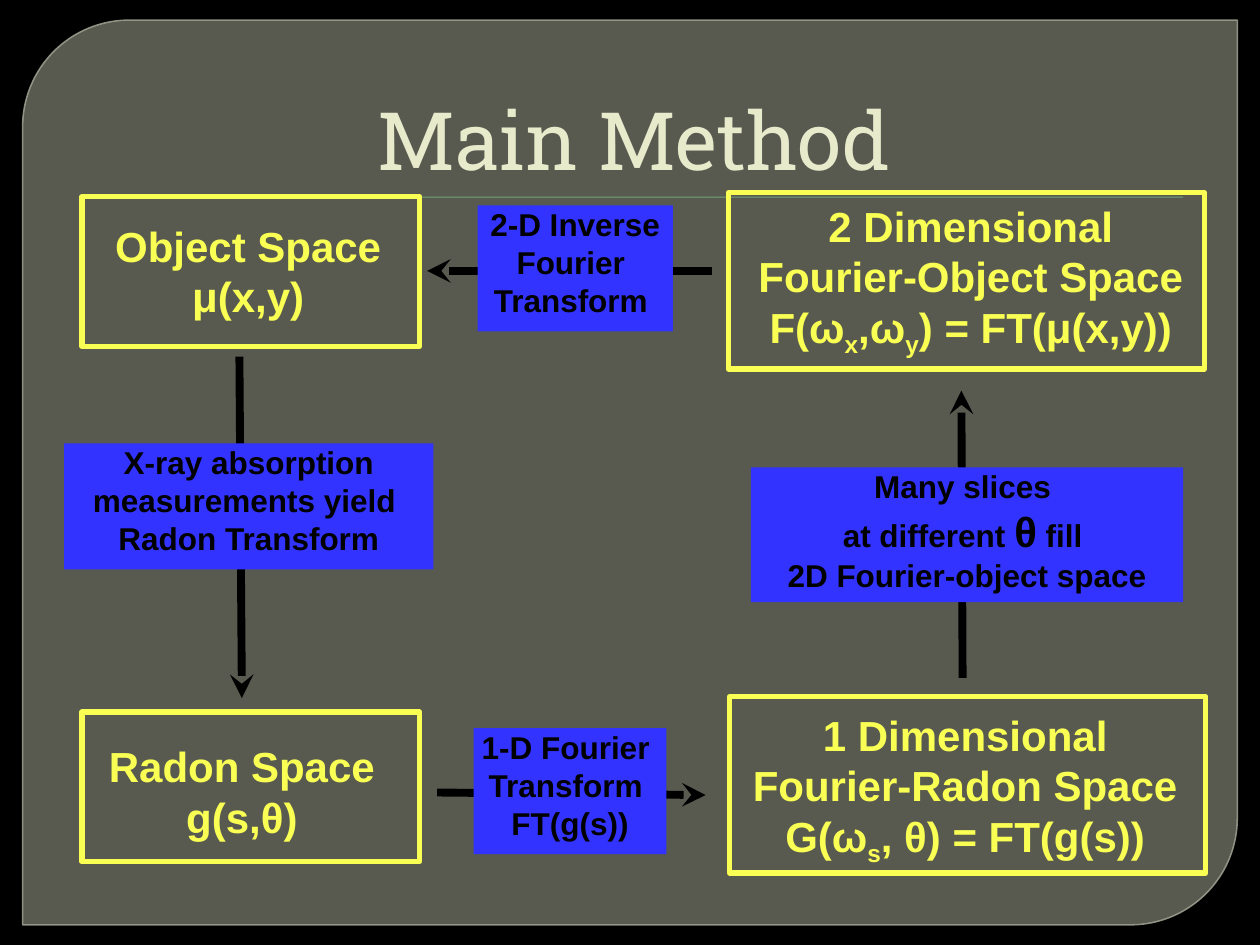
from lxml import etree
from pptx import Presentation
from pptx.dml.color import RGBColor
from pptx.enum.shapes import MSO_CONNECTOR, MSO_SHAPE
from pptx.enum.text import MSO_ANCHOR, PP_ALIGN
from pptx.oxml.ns import qn
from pptx.util import Inches, Pt

BLACK = RGBColor(0x00, 0x00, 0x00)
PANEL = RGBColor(0x88, 0x8B, 0x7B)
PANEL_EDGE = RGBColor(0x9D, 0xA0, 0x90)
GREEN = RGBColor(0x72, 0xA3, 0x76)
CREAM = RGBColor(0xE7, 0xEA, 0xCB)
YELLOW = RGBColor(0xFA, 0xFF, 0x54)
BLUE = RGBColor(0x33, 0x33, 0xFF)
RECTANGLE = MSO_SHAPE.RECTANGLE
ROUNDED_DIAGONAL = MSO_SHAPE.ROUND_2_DIAG_RECTANGLE
STRAIGHT = MSO_CONNECTOR.STRAIGHT
CENTER = PP_ALIGN.CENTER
TOP, BOTTOM = MSO_ANCHOR.TOP, MSO_ANCHOR.BOTTOM

SPACE_FONT = {"name": "Arial", "size": Pt(24), "bold": True}
STEP_FONT = {"name": "Arial", "size": Pt(18), "bold": True}
TITLE_FONT = {"name": "Roboto Slab", "size": Pt(46), "bold": False}
SUBSCRIPT = {"baseline": "-25000"}
LARGE = {"sz": "2400"}

presentation = Presentation()
presentation.slide_width, presentation.slide_height = Inches(10), Inches(7.5)
slide = presentation.slides.add_slide(presentation.slide_layouts[6])
slide.background.fill.solid()
slide.background.fill.fore_color.rgb = BLACK


def add_box(kind, place, fill=None, line=None, width=0):
    shape = slide.shapes.add_shape(kind, *map(Inches, place))
    shape.shadow.inherit = False
    if fill is None:
        shape.fill.background()
    else:
        shape.fill.solid()
        shape.fill.fore_color.rgb = fill
    if line is None:
        shape.line.fill.background()
    else:
        shape.line.color.rgb = line
        shape.line.width = Pt(width)
    return shape


def write(shape, lines, font, color, anchor=TOP, margin=0):
    """Fill a shape with centred lines; a line is a string or (text, run attributes) pairs."""
    frame = shape.text_frame
    frame.word_wrap = True
    frame.vertical_anchor = anchor
    for side in ("left", "top", "right", "bottom"):
        setattr(frame, f"margin_{side}", Inches(margin))
    for index, line in enumerate(lines):
        paragraph = frame.add_paragraph() if index else frame.paragraphs[0]
        paragraph.alignment = CENTER
        for text, attributes in [(line, {})] if isinstance(line, str) else line:
            run = paragraph.add_run()
            run.text = text
            for name, value in font.items():
                setattr(run.font, name, value)
            run.font.color.rgb = color
            for name, value in attributes.items():
                run.font._element.set(name, value)


# Backdrop and title
panel = add_box(ROUNDED_DIAGONAL, (0.18, 0.16, 9.64, 7.18), PANEL, PANEL_EDGE, 0.87)
panel.adjustments[0], panel.adjustments[1] = 0.118, 0
for fill, percent in ((panel.fill, 65), (panel.line.fill, 88)):
    color = fill._xPr.find(qn("a:solidFill"))[0]
    etree.SubElement(color, qn("a:alpha")).set("val", str(percent * 1000))
add_box(RECTANGLE, (0.64, 1.56, 8.75, 0.01), GREEN)
title = slide.shapes.add_textbox(Inches(0.53), Inches(0.28), Inches(9), Inches(1.25))
write(title, ["Main Method"], TITLE_FONT, CREAM, BOTTOM, 0.05)

# The four spaces: text place, frame place, lines
spaces = [
    ((0.69, 1.75, 2.56, 0.8), (0.65, 1.56, 2.68, 1.19),
     ["Object Space", " μ(x,y) "]),
    ((5.78, 1.59, 3.85, 1.2), (5.78, 1.53, 3.78, 1.4),
     ["2 Dimensional", "Fourier-Object Space",
      [("F(ω", {}), ("x", SUBSCRIPT), (",ω", {}), ("y", SUBSCRIPT), (") = FT(μ(x,y))", {})]]),
    ((0.64, 5.88, 2.56, 0.8), (0.65, 5.65, 2.68, 1.19),
     ["Radon Space", " g(s,θ) "]),
    ((5.62, 5.63, 4.08, 1.2), (5.79, 5.53, 3.78, 1.4),
     ["1 Dimensional", "Fourier-Radon Space",
      [("G(ω", {}), ("s", SUBSCRIPT), (", θ) = FT(g(s))", {})]]),
]
for text_place, frame_place, lines in spaces:
    write(slide.shapes.add_textbox(*map(Inches, text_place)), lines, SPACE_FONT, YELLOW)
    add_box(RECTANGLE, frame_place, line=YELLOW, width=3)

# The steps between them: arrow from start to tip, label place, lines
steps = [
    ((1.9, 2.83, 1.92, 5.54), (0.51, 3.52, 2.93, 1),
     ["X-ray absorption measurements yield ", "Radon Transform"]),
    ((3.47, 6.29, 5.6, 6.31), (3.76, 5.78, 1.53, 1),
     ["1-D Fourier ", "Transform ", "FT(g(s))"]),
    ((7.64, 5.38, 7.63, 3.1), (5.96, 3.71, 3.43, 1.07),
     ["Many slices ", [("at different ", {}), ("θ", LARGE), (" fill ", {})],
      "2D Fourier-object space"]),
    ((5.65, 2.15, 3.39, 2.15), (3.79, 1.63, 1.55, 1),
     ["2-D Inverse", "Fourier ", "Transform "]),
]
for ends, label_place, lines in steps:
    arrow = slide.shapes.add_connector(STRAIGHT, *map(Inches, ends))
    arrow.line.color.rgb = BLACK
    arrow.line.width = Pt(4.5)
    etree.SubElement(arrow.line._get_or_add_ln(), qn("a:tailEnd")).set("type", "stealth")
    etree.SubElement(arrow._element.spPr, qn("a:effectLst"))
    write(add_box(RECTANGLE, label_place, BLUE), lines, STEP_FONT, BLACK)

presentation.save("out.pptx")
